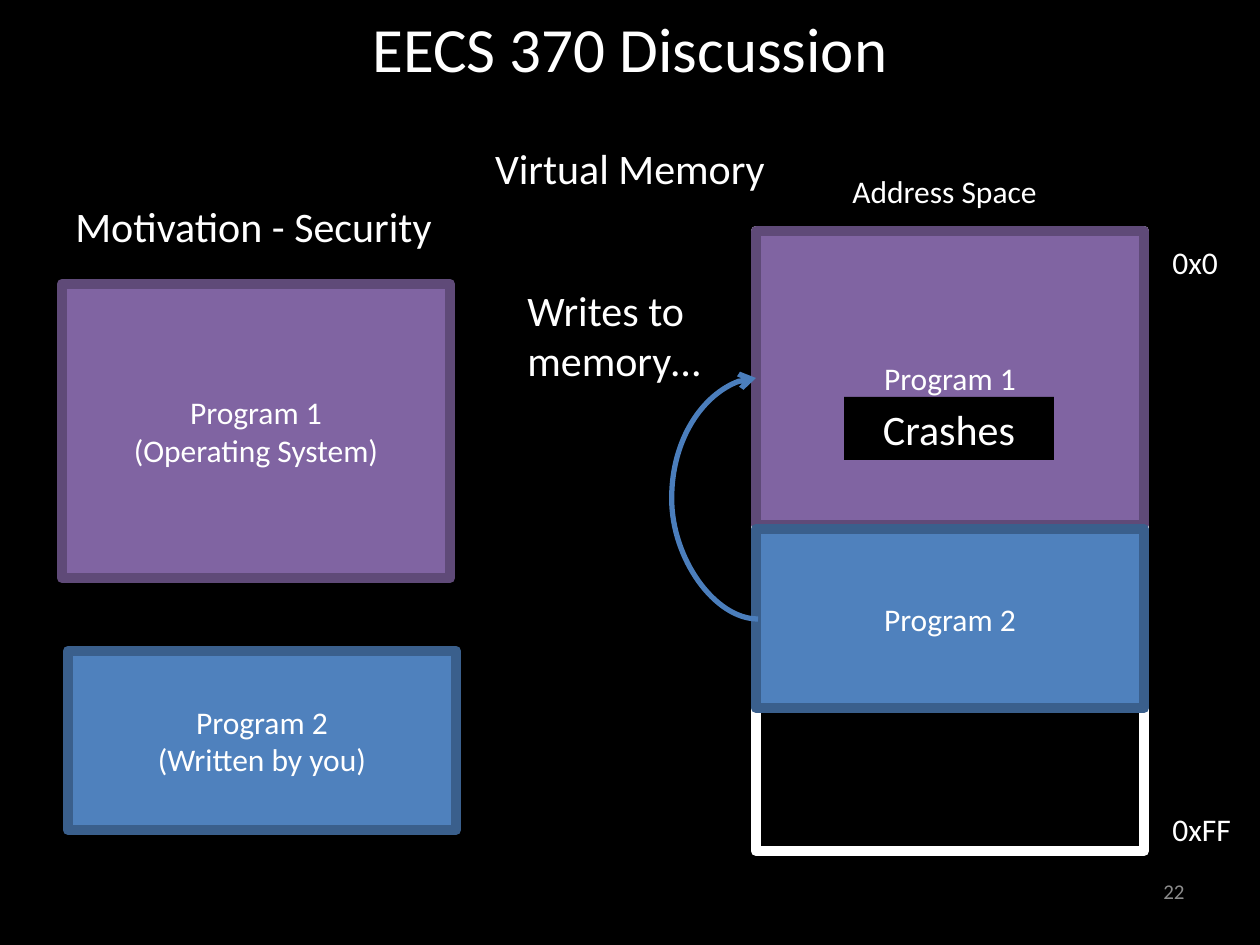
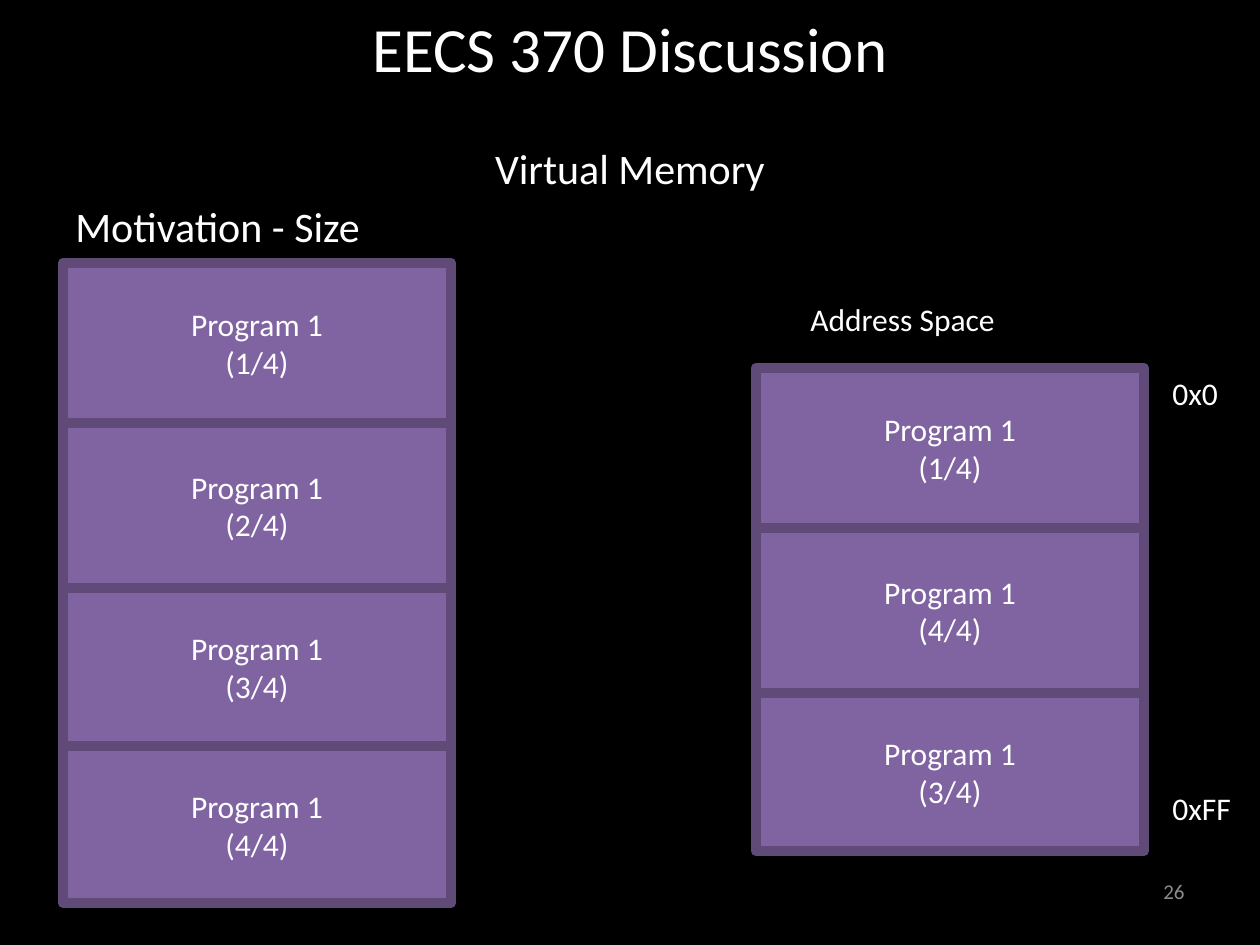
"""Build two discussion slides on the motivation for virtual memory."""
from dataclasses import dataclass
from itertools import accumulate

from lxml.etree import SubElement
from pptx import Presentation
from pptx.dml.color import RGBColor
from pptx.enum.shapes import MSO_CONNECTOR, MSO_SHAPE
from pptx.enum.text import MSO_ANCHOR, PP_ALIGN
from pptx.oxml.ns import qn
from pptx.util import Pt

EMU_PER_PX = 914400 / 126


@dataclass(frozen=True)
class Theme:
    font: str = "Calibri"
    background: str = "000000"
    text: str = "FFFFFF"
    muted: str = "8C8C8C"
    arrow: str = "4B7EBC"
    title_size: int = 36
    heading_size: int = 24
    label_size: int = 18
    number_size: int = 12
    block_line: int = 6
    arrow_line: int = 3


THEME = Theme()
BLOCK_STYLES = {
    "purple": ("8064A2", "5F4A78"),
    "blue": ("4F81BD", "3A5F8C"),
    "empty": (None, THEME.text),
}

SLIDE_SIZE = (1260, 945)
TITLE = "EECS 370 Discussion"
TOPIC = "Virtual Memory"
TITLE_BOX = (63, 0, 1134, 95)
BODY_BOX = (63, 136, 1134, 746)
NUMBER_BOX = (903, 866, 294, 50)
BLOCK_WIDTH = 388
MEMORY_LEFT = 756
ADDRESS_LEFT = 1160
ADDRESS_SIZE = (100, 50)
LABEL_SIZE = (325, 53)
PART_HEIGHTS = (160, 165, 158, 157)


def part_stack(left, top, parts):
    """Return stacked blocks for the given quarters of Program 1."""
    tops = accumulate(PART_HEIGHTS, initial=top)
    return [
        ("purple", left, part_top, height, ("Program 1", f"({part}/4)"))
        for part, part_top, height in zip(parts, tops, PART_HEIGHTS)
    ]


SLIDES = [
    {
        "number": "22",
        "motivation": "Motivation - Security",
        "space_label": (840, 166),
        "addresses": [("0x0", 237), ("0xFF", 804)],
        "blocks": [
            ("purple", 62, 284, 294, ("Program 1", "(Operating System)")),
            ("blue", 68, 651, 179, ("Program 2", "(Written by you)")),
            ("empty", MEMORY_LEFT, 231, 620, ()),
            ("purple", MEMORY_LEFT, 231, 294, ("Program 1",)),
            ("blue", MEMORY_LEFT, 529, 179, ("Program 2",)),
        ],
        "callouts": [
            (("Writes to", "memory…"), (515, 278, 210, 115), PP_ALIGN.LEFT),
            (("Crashes",), (844, 397, 210, 63), PP_ALIGN.CENTER),
        ],
        "write_arrows": [(756, 378, 758, 619, 87)],
    },
    {
        "number": "26",
        "motivation": "Motivation - Size",
        "space_label": (798, 294),
        "addresses": [("0x0", 368), ("0xFF", 783)],
        "blocks": part_stack(MEMORY_LEFT, 368, (1, 4, 3))
        + part_stack(63, 263, (1, 2, 3, 4)),
        "callouts": [],
        "write_arrows": [],
    },
]


def px(*lengths):
    """Convert pixel lengths to EMU."""
    return [round(length * EMU_PER_PX) for length in lengths]


def color(value):
    """Return a colour from its hex form."""
    return RGBColor.from_string(value)


def write(box, lines, size, align=PP_ALIGN.LEFT, anchor=MSO_ANCHOR.TOP, ink=THEME.text):
    """Fill a shape with one paragraph per line and return the paragraphs."""
    frame = box.text_frame
    frame.word_wrap = True
    frame.vertical_anchor = anchor
    for index, line in enumerate(lines):
        para = frame.add_paragraph() if index else frame.paragraphs[0]
        para.alignment = align
        span = para.add_run()
        span.text = line
        span.font.name = THEME.font
        span.font.size = Pt(size)
        span.font.color.rgb = color(ink)
    return frame.paragraphs


def add_text(page, bounds, lines, size, **style):
    """Add a text box and return its paragraphs."""
    return write(page.shapes.add_textbox(*px(*bounds)), lines, size, **style)


def add_rectangle(page, bounds, fill, line):
    """Add a flat rectangle; a missing colour leaves that part empty."""
    box = page.shapes.add_shape(MSO_SHAPE.RECTANGLE, *px(*bounds))
    box.shadow.inherit = False
    if fill:
        box.fill.solid()
        box.fill.fore_color.rgb = color(fill)
    else:
        box.fill.background()
    if line:
        box.line.color.rgb = color(line)
        box.line.width = Pt(THEME.block_line)
    else:
        box.line.fill.background()
    return box


def add_write_arrow(page, left, top, right, bottom, bulge):
    """Add an arrow that bows out to the left and points at its upper end."""
    arrow = page.shapes.add_connector(MSO_CONNECTOR.CURVE, *px(left, top, right, bottom))
    arrow.line.color.rgb = color(THEME.arrow)
    arrow.line.width = Pt(THEME.arrow_line)
    properties = arrow.element.spPr
    properties.find(qn("a:xfrm")).set("rot", "10800000")
    adjustments = properties.find(qn("a:prstGeom")).find(qn("a:avLst"))
    bend = round(bulge / (right - left) * 100000)
    SubElement(adjustments, qn("a:gd"), name="adj1", fmla=f"val {bend}")
    SubElement(properties.find(qn("a:ln")), qn("a:tailEnd"), type="arrow")
    SubElement(properties, qn("a:effectLst"))


def add_frame(page, motivation, number):
    """Add the background, title, headings and slide number."""
    page.background.fill.solid()
    page.background.fill.fore_color.rgb = color(THEME.background)
    add_text(page, TITLE_BOX, [TITLE], THEME.title_size,
             align=PP_ALIGN.CENTER, anchor=MSO_ANCHOR.MIDDLE)
    headings = add_text(page, BODY_BOX, [TOPIC, motivation], THEME.heading_size)
    headings[0].alignment = PP_ALIGN.CENTER
    headings[1].space_before = Pt(THEME.heading_size * 0.2)
    add_text(page, NUMBER_BOX, [number], THEME.number_size,
             align=PP_ALIGN.RIGHT, anchor=MSO_ANCHOR.MIDDLE, ink=THEME.muted)


def add_slide(deck, content):
    """Add one slide from its content."""
    page = deck.slides.add_slide(deck.slide_layouts[6])
    add_frame(page, content["motivation"], content["number"])
    add_text(page, (*content["space_label"], *LABEL_SIZE), ["Address Space"], THEME.label_size)
    for address, top in content["addresses"]:
        add_text(page, (ADDRESS_LEFT, top, *ADDRESS_SIZE), [address], THEME.label_size)
    for style, left, top, height, lines in content["blocks"]:
        block = add_rectangle(page, (left, top, BLOCK_WIDTH, height), *BLOCK_STYLES[style])
        write(block, lines, THEME.label_size, PP_ALIGN.CENTER, MSO_ANCHOR.MIDDLE)
    for lines, bounds, align in content["callouts"]:
        callout = add_rectangle(page, bounds, THEME.background, None)
        write(callout, lines, THEME.heading_size, align)
    for arrow in content["write_arrows"]:
        add_write_arrow(page, *arrow)


def main():
    """Build and save the deck."""
    deck = Presentation()
    deck.slide_width, deck.slide_height = px(*SLIDE_SIZE)
    for content in SLIDES:
        add_slide(deck, content)
    deck.save("out.pptx")


if __name__ == "__main__":
    main()
